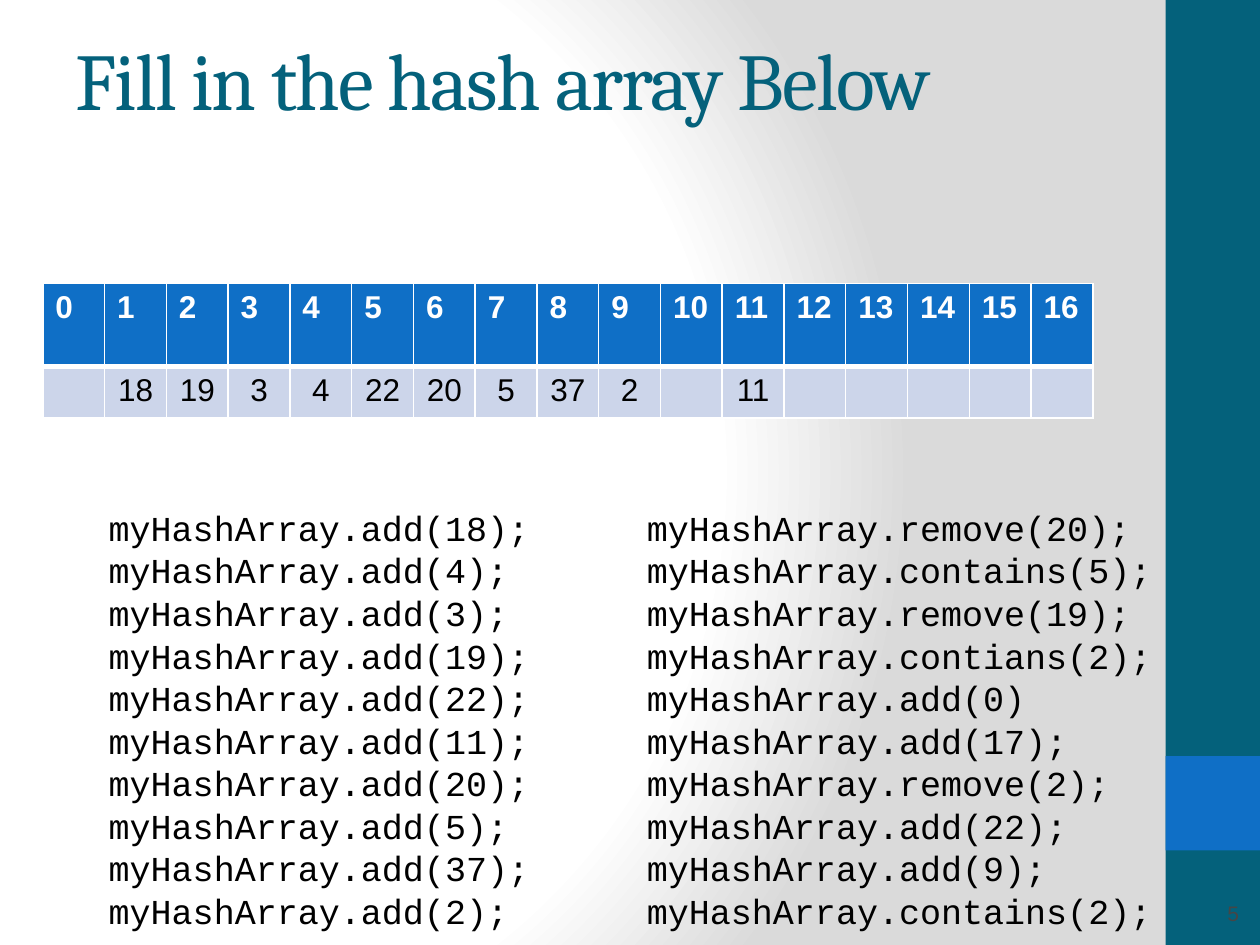
from dataclasses import dataclass

from pptx import Presentation
from pptx.dml.color import RGBColor
from pptx.enum.shapes import MSO_SHAPE
from pptx.enum.text import MSO_ANCHOR, PP_ALIGN
from pptx.oxml import parse_xml
from pptx.oxml.ns import nsdecls
from pptx.util import Pt

LEFT, CENTER, RIGHT = PP_ALIGN.LEFT, PP_ALIGN.CENTER, PP_ALIGN.RIGHT
MIDDLE = MSO_ANCHOR.MIDDLE
RECTANGLE = MSO_SHAPE.RECTANGLE
TITLE_ONLY = 5


@dataclass(frozen=True)
class Theme:
    teal: str = "04617B"
    blue: str = "0F6FC6"
    pale: str = "CCD5EA"
    white: str = "FFFFFF"
    gray: str = "DADADA"
    black: str = "000000"
    number: str = "464646"
    heading_font: str = "Cambria"
    body_font: str = "Arial"
    code_font: str = "Courier New"
    heading_size: int = 46
    code_size: int = 20
    cell_size: int = 18
    number_size: int = 12


THEME = Theme()

HASH_SLOTS = {1: 18, 2: 19, 3: 3, 4: 4, 5: 22, 6: 20, 7: 5, 8: 37, 9: 2, 11: 11}
SLOT_COUNT = 17
FIRST_CALLS = [f"add({value});" for value in (18, 4, 3, 19, 22, 11, 20, 5, 37, 2)]
SECOND_CALLS = ["remove(20);", "contains(5);", "remove(19);", "contians(2);", "add(0)",
                "add(17);", "remove(2);", "add(22);", "add(9);", "contains(2);"]


def write_text(paragraph, text, *, size, font=THEME.body_font, color=THEME.black,
               bold=False, align=LEFT, spacing=None):
    paragraph.alignment = align
    run = paragraph.add_run()
    run.text = text
    run.font.name = font
    run.font.size = Pt(size)
    run.font.bold = bold
    run.font.color.rgb = RGBColor.from_string(color)
    if spacing is not None:
        run.font._element.set("spc", str(int(spacing * 100)))


def paint_background(slide):
    stops = "".join(
        f'<a:gs pos="{position * 1000}"><a:srgbClr val="{color}"/></a:gs>'
        for position, color in ((0, THEME.white), (75, THEME.white), (100, THEME.gray)))
    slide._element.cSld.insert(0, parse_xml(
        f'<p:bg {nsdecls("p", "a")}><p:bgPr><a:gradFill rotWithShape="1">'
        f'<a:gsLst>{stops}</a:gsLst><a:path path="circle">'
        '<a:fillToRect l="20000" t="50000" r="100000" b="50000"/></a:path>'
        '</a:gradFill><a:effectLst/></p:bgPr></p:bg>'))


def add_sidebar(slide, left, top, width, height):
    # Full-height band with a square accent one square above its foot
    bands = ((top, height, THEME.teal), (top + height - 2 * width, width, THEME.blue))
    for band_top, band_height, color in bands:
        band = slide.shapes.add_shape(RECTANGLE, Pt(left), Pt(band_top),
                                      Pt(width), Pt(band_height))
        band.shadow.inherit = False
        band.fill.solid()
        band.fill.fore_color.rgb = RGBColor.from_string(color)
        band.line.fill.background()

    # Slide number
    box = slide.shapes.add_textbox(Pt(left), Pt(top + height - 30), Pt(width - 5), Pt(24))
    frame = box.text_frame
    frame.word_wrap = True
    frame.vertical_anchor = MIDDLE
    write_text(frame.paragraphs[0], "5", size=THEME.number_size,
               color=THEME.number, align=RIGHT)


def place_title(slide, left, top, width, height):
    title = slide.shapes.title
    title.left, title.top, title.width, title.height = map(Pt, (left, top, width, height))
    title.text_frame.vertical_anchor = MIDDLE
    write_text(title.text_frame.paragraphs[0], "Fill in the hash array Below",
               size=THEME.heading_size, font=THEME.heading_font,
               color=THEME.teal, spacing=-1)


def format_cell(cell, text, fill, top_line, bottom_line, **text_format):
    properties = cell._tc.get_or_add_tcPr()
    for side, width in (("L", 1), ("R", 1), ("T", top_line), ("B", bottom_line)):
        properties.append(parse_xml(
            f'<a:ln{side} {nsdecls("a")} w="{Pt(width)}"><a:solidFill>'
            f'<a:srgbClr val="{THEME.white}"/></a:solidFill></a:ln{side}>'))
    cell.fill.solid()
    cell.fill.fore_color.rgb = RGBColor.from_string(fill)
    if text:
        write_text(cell.text_frame.paragraphs[0], text,
                   size=THEME.cell_size, **text_format)


def add_hash_table(slide, left, top, width, row_heights):
    table = slide.shapes.add_table(2, SLOT_COUNT, Pt(left), Pt(top), Pt(width),
                                   Pt(sum(row_heights))).table
    for row, height in zip(table.rows, row_heights):
        row.height = Pt(height)
    for index, column in enumerate(table.columns):
        column.width = Pt(width / SLOT_COUNT)
        format_cell(table.cell(0, index), str(index), THEME.blue, 1, 3,
                    color=THEME.white, bold=True)
        format_cell(table.cell(1, index), str(HASH_SLOTS.get(index, "")),
                    THEME.pale, 3, 1, align=CENTER)


def add_code_column(slide, calls, left, top, width, height):
    frame = slide.shapes.add_textbox(Pt(left), Pt(top), Pt(width), Pt(height)).text_frame
    frame.word_wrap = True
    frame.margin_left = Pt(39.6)
    frame.margin_top = Pt(36)
    for index, call in enumerate(calls):
        paragraph = frame.add_paragraph() if index else frame.paragraphs[0]
        paragraph.line_spacing = 0.8
        if index:
            paragraph.space_before = Pt(5.1)
        write_text(paragraph, f"myHashArray.{call}",
                   size=THEME.code_size, font=THEME.code_font)


def build_slide(presentation):
    slide = presentation.slides.add_slide(presentation.slide_layouts[TITLE_ONLY])
    paint_background(slide)
    add_sidebar(slide, 666, 0, 54, 540)
    place_title(slide, 36, 0, 600, 90)
    add_hash_table(slide, 24.5, 162, 600, (47.5, 29.5))
    add_code_column(slide, FIRST_CALLS, 22.5, 258, 295, 306)
    add_code_column(slide, SECOND_CALLS, 330, 258, 348, 306)


presentation = Presentation()
presentation.slide_width, presentation.slide_height = Pt(720), Pt(540)
build_slide(presentation)
presentation.save("out.pptx")
